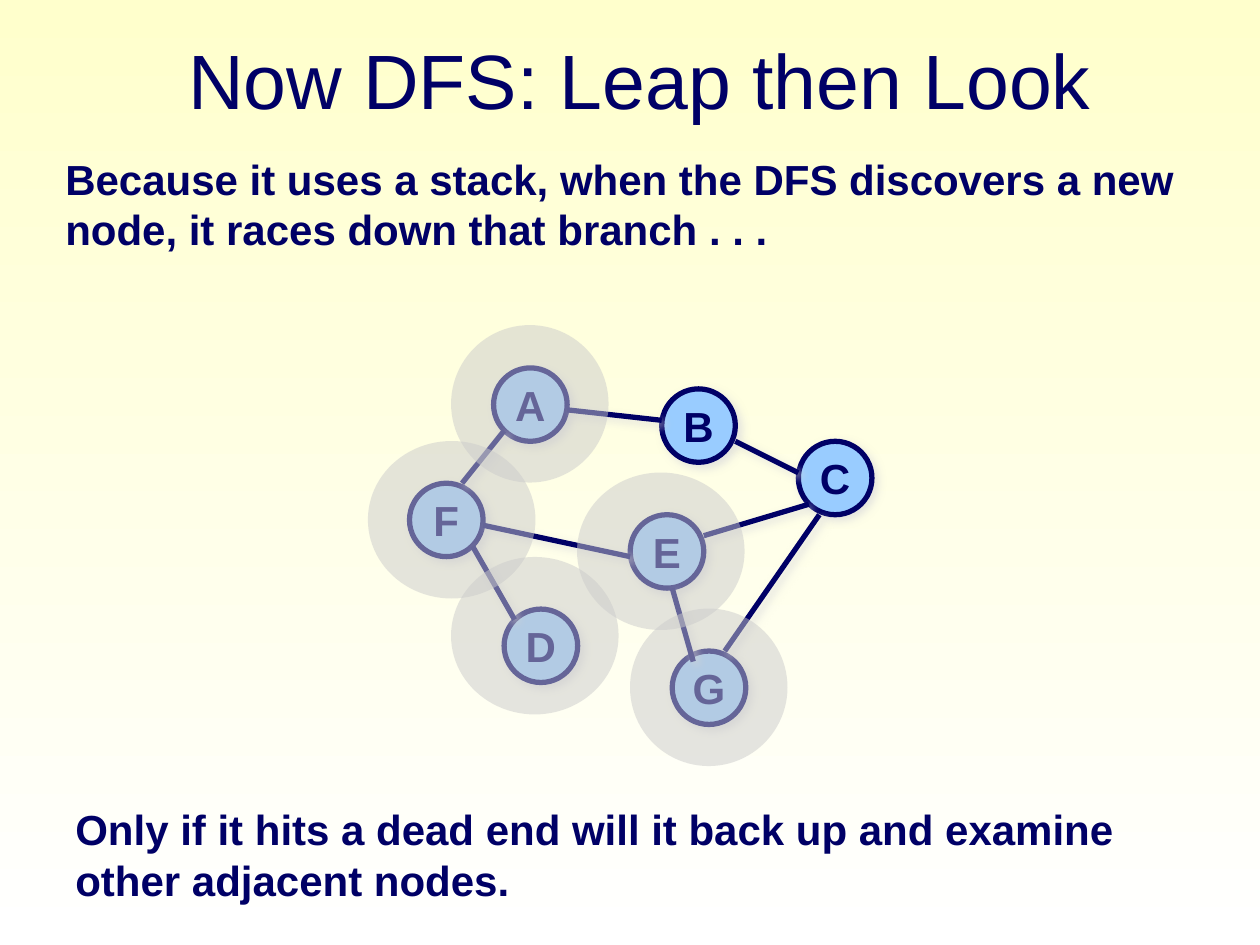
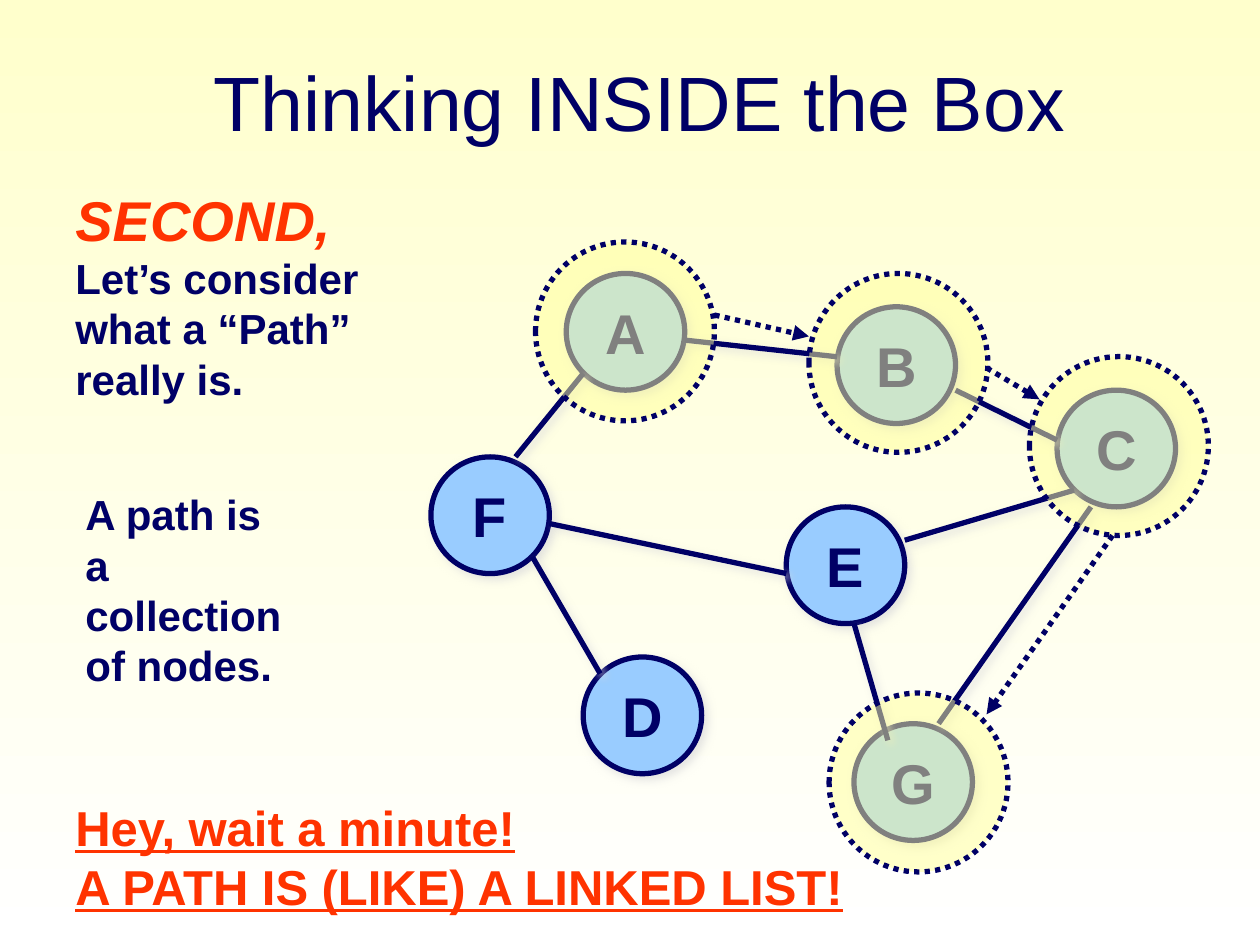
"""Build two slides on depth-first search and on paths as collections of nodes."""
from dataclasses import dataclass

from lxml.etree import SubElement
from pptx import Presentation
from pptx.dml.color import RGBColor
from pptx.enum.dml import MSO_LINE
from pptx.enum.shapes import MSO_CONNECTOR, MSO_SHAPE
from pptx.enum.text import MSO_ANCHOR, MSO_AUTO_SIZE, PP_ALIGN
from pptx.oxml.ns import qn
from pptx.util import Inches, Pt


@dataclass(frozen=True)
class Theme:
    font: str = "Arial"
    navy: RGBColor = RGBColor.from_string("000066")
    red: RGBColor = RGBColor.from_string("FF3300")
    node: RGBColor = RGBColor.from_string("99CCFF")
    gray: RGBColor = RGBColor.from_string("CBCBCB")
    yellow: RGBColor = RGBColor.from_string("FFFF99")
    cream: RGBColor = RGBColor.from_string("FFFFCC")
    white: RGBColor = RGBColor.from_string("FFFFFF")
    shadow: str = "DDDDDD"
    stroke: int = Pt(3)
    title: int = Pt(44)
    large: int = Pt(32)
    medium: int = Pt(28)
    body: int = Pt(24)


theme = Theme()

NODE_SPAN, GRAPH_COLUMNS, GRAPH_ROWS = 7, 44, 34
NODES = {"A": (8, 0), "G": (25, 27), "B": (24, 2), "C": (37, 7),
         "D": (9, 23), "F": (0, 11), "E": (21, 14)}
EDGES = [(15, 4, 24, 5), (31, 7, 37, 10), (9, 6, 5, 11), (38, 13, 28, 16),
         (39, 14, 30, 27), (27, 28, 25, 21), (10, 24, 6, 17), (7, 15, 21, 18)]

SLIDES = [
    dict(
        title="Now DFS: Leap then Look", title_top=0, grouped=False,
        graph=(3.25, 2.92, 3.67, 2.83), letter=theme.body,
        halo_fill=theme.gray, halo_outlined=False,
        halos=[(3.58, 2.58, 1.25), (2.92, 3.5, 1.33), (3.58, 4.42, 1.33),
               (4.58, 3.75, 1.33), (5, 4.83, 1.25)],
        halo_height=1.25, steps=[],
        notes=[
            (0.42, 1.17, 9.07, 0.9, True,
             [("Because it uses a stack, when the DFS discovers a new node, "
               "it races down that branch . . .", theme.body, theme.navy, {})]),
            (0.5, 6.33, 9, 0.9, True,
             [("Only if it hits a dead end will it back up and examine "
               "other adjacent nodes.", theme.body, theme.navy, {})]),
        ],
    ),
    dict(
        title="Thinking INSIDE the Box", title_top=0.17, grouped=True,
        graph=(3.42, 2.17, 5.91, 4.5), letter=theme.large,
        halo_fill=theme.yellow, halo_outlined=True,
        halos=[(4.25, 1.92, 1.42), (6.42, 2.17, 1.42),
               (8.17, 2.83, 1.42), (6.58, 5.5, 1.42)],
        halo_height=1.42,
        steps=[(5.67, 2.5, 6.42, 2.67), (7.83, 2.92, 8.25, 3.17),
               (8.83, 4.25, 7.83, 5.67)],
        notes=[
            (0.5, 1.42, 2.46, 1.83, False,
             [("SECOND,", theme.large, theme.red, {"italic": True})]
             + [(line, theme.body, theme.navy, {})
                for line in ("Let’s consider", "what a “Path”", "really is.")]),
            (0.58, 3.83, 2.03, 1.3, False,
             [(line, theme.body, theme.navy, {})
              for line in ("A path is", "a collection", "of nodes.")]),
            (0.5, 6.28, 6.4, 1.03, False,
             [(line, theme.medium, theme.red, {"underline": True})
              for line in ("Hey, wait a minute!", "A PATH IS (LIKE) A LINKED LIST!")]),
        ],
    ),
]


def write(frame, lines, bold=True, align=PP_ALIGN.LEFT):
    for index, (text, size, color, accents) in enumerate(lines):
        paragraph = frame.add_paragraph() if index else frame.paragraphs[0]
        paragraph.text = text
        paragraph.alignment = align
        font = paragraph.font
        font.name, font.size, font.bold = theme.font, size, bold
        font.color.rgb = color
        for accent, value in accents.items():
            setattr(font, accent, value)


def outline(part, dotted=False, shadowed=False):
    part.line.color.rgb = theme.navy
    part.line.width = theme.stroke
    if dotted:
        part.line.dash_style = MSO_LINE.ROUND_DOT
    properties = part._element.spPr
    for inherited in properties.findall(qn("a:effectLst")):
        properties.remove(inherited)
    effects = SubElement(properties, qn("a:effectLst"))
    if shadowed:
        shadow = SubElement(effects, qn("a:outerShdw"), blurRad=str(Pt(5)),
                            dist=str(Pt(3)), dir="2700000")
        tint = SubElement(shadow, qn("a:srgbClr"), val=theme.shadow)
        SubElement(tint, qn("a:alpha"), val="75000")


deck = Presentation()
deck.slide_width, deck.slide_height = Inches(10), Inches(7.5)

for content in SLIDES:
    slide = deck.slides.add_slide(deck.slide_layouts[6])
    backdrop = slide.background.fill
    backdrop.gradient()
    backdrop.gradient_angle = 270
    for stop, color in zip(backdrop.gradient_stops, (theme.cream, theme.white)):
        stop.color.rgb = color
    backdrop.gradient_stops[0].position = 0
    backdrop.gradient_stops[1].position = 1

    heading = slide.shapes.add_textbox(
        Inches(0.83), Inches(content["title_top"]), Inches(8.5), Inches(1.25)).text_frame
    heading.word_wrap = True
    heading.vertical_anchor = MSO_ANCHOR.MIDDLE
    write(heading, [(content["title"], theme.title, theme.navy, {})],
          bold=False, align=PP_ALIGN.CENTER)

    graph = slide.shapes.add_group_shape().shapes if content["grouped"] else slide.shapes
    left, top, width, height = content["graph"]
    column, row = width / GRAPH_COLUMNS, height / GRAPH_ROWS
    for letter, (x, y) in NODES.items():
        node = graph.add_shape(
            MSO_SHAPE.OVAL, Inches(left + x * column), Inches(top + y * row),
            Inches(NODE_SPAN * column), Inches(NODE_SPAN * row))
        node.fill.solid()
        node.fill.fore_color.rgb = theme.node
        outline(node, shadowed=True)
        node.text_frame.word_wrap = False
        node.text_frame.vertical_anchor = MSO_ANCHOR.MIDDLE
        write(node.text_frame, [(letter, content["letter"], theme.navy, {})],
              align=PP_ALIGN.CENTER)
    for x1, y1, x2, y2 in EDGES:
        edge = graph.add_connector(
            MSO_CONNECTOR.STRAIGHT,
            Inches(left + x1 * column), Inches(top + y1 * row),
            Inches(left + x2 * column), Inches(top + y2 * row))
        outline(edge, shadowed=True)

    for x, y, halo_width in content["halos"]:
        halo = slide.shapes.add_shape(
            MSO_SHAPE.OVAL, Inches(x), Inches(y),
            Inches(halo_width), Inches(content["halo_height"]))
        halo.shadow.inherit = False
        halo.fill.solid()
        halo.fill.fore_color.rgb = content["halo_fill"]
        tint = halo._element.spPr.find(qn("a:solidFill")).find(qn("a:srgbClr"))
        SubElement(tint, qn("a:alpha"), val="50000")
        if content["halo_outlined"]:
            outline(halo, dotted=True)
        else:
            halo.line.fill.background()

    for step in content["steps"]:
        arrow = slide.shapes.add_connector(MSO_CONNECTOR.STRAIGHT, *map(Inches, step))
        outline(arrow, dotted=True)
        SubElement(arrow._element.spPr.find(qn("a:ln")), qn("a:tailEnd"), type="triangle")

    for x, y, note_width, note_height, wraps, lines in content["notes"]:
        note = slide.shapes.add_textbox(
            Inches(x), Inches(y), Inches(note_width), Inches(note_height)).text_frame
        note.word_wrap = wraps
        note.auto_size = MSO_AUTO_SIZE.SHAPE_TO_FIT_TEXT
        write(note, lines)

deck.save("out.pptx")
